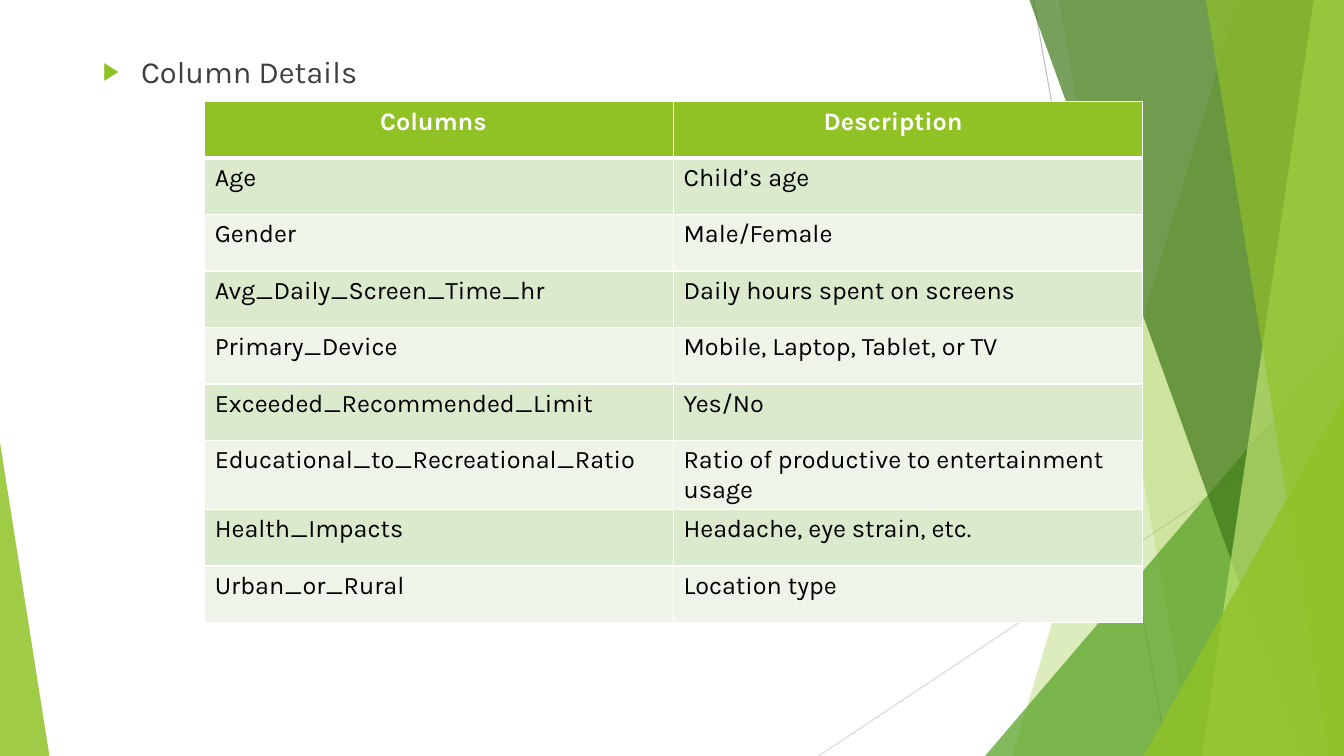
from pptx import Presentation
from pptx.dml.color import RGBColor
from pptx.enum.shapes import MSO_CONNECTOR, MSO_SHAPE
from pptx.enum.text import MSO_ANCHOR, MSO_AUTO_SIZE, PP_ALIGN
from pptx.oxml.ns import qn
from pptx.util import Inches, Pt
from lxml import etree

STRAIGHT = MSO_CONNECTOR.STRAIGHT
TRIANGLE = MSO_SHAPE.ISOSCELES_TRIANGLE
TOP = MSO_ANCHOR.TOP
LEFT = PP_ALIGN.LEFT
NO_AUTOFIT = MSO_AUTO_SIZE.NONE

FONT = "Karla"
WIDTH, HEIGHT = 13.33, 7.5
GREEN, WHITE = "90C226", "FFFFFF"
BANDS = ("DBE9CD", "EEF4E8")

HEADINGS = ("Columns", "Description")
HEADING_MARGINS = (1.74, 1.49)
DETAILS = (
    ("Age", "Child’s age"),
    ("Gender", "Male/Female"),
    ("Avg_Daily_Screen_Time_hr", "Daily hours spent on screens"),
    ("Primary_Device", "Mobile, Laptop, Tablet, or TV"),
    ("Exceeded_Recommended_Limit", "Yes/No"),
    ("Educational_to_Recreational_Ratio",
     "Ratio of productive to entertainment usage"),
    ("Health_Impacts", "Headache, eye strain, etc."),
    ("Urban_or_Rural", "Location type"),
)


def rgb(color):
    return RGBColor.from_string(color)


def add_child(parent, tag, **attributes):
    return etree.SubElement(parent, qn(tag), attributes)


def write_text(para, text, size=18, color="000000", bold=False):
    para.alignment = LEFT
    para.space_before = Pt(0)
    span = para.add_run()
    span.text = text
    span.font.name = FONT
    span.font.size = Pt(size)
    span.font.bold = bold
    span.font.color.rgb = rgb(color)


def paint(shape, color, opacity):
    shape.shadow.inherit = False
    shape.line.fill.background()
    shape.fill.solid()
    shape.fill.fore_color.rgb = rgb(color)
    color_node = shape._element.spPr.find(qn("a:solidFill"))[0]
    add_child(color_node, "a:alpha", val=str(opacity * 1000))


def add_ray(slide, start, end, color):
    points = [Inches(value) for value in start + end]
    ray = slide.shapes.add_connector(STRAIGHT, *points)
    ray.line.color.rgb = rgb(color)
    ray.line.width = Pt(0.75)
    add_child(ray._element.spPr, "a:effectLst")


def add_shard(slide, top_x, bottom_x, color, opacity):
    """Fill from a slanted edge to the right side of the slide."""
    corners = [(top_x, 0), (WIDTH, 0), (WIDTH, HEIGHT), (bottom_x, HEIGHT)]
    points = [(Inches(x), Inches(y)) for x, y in corners]
    builder = slide.shapes.build_freeform(*points[0])
    builder.add_line_segments(points[1:], close=True)
    paint(builder.convert_to_shape(), color, opacity)


def add_corner(slide, left, top, width, peak, color, opacity):
    """Stand a right triangle on the bottom edge of the slide."""
    corner = slide.shapes.add_shape(
        TRIANGLE, Inches(left), Inches(top), Inches(width),
        Inches(HEIGHT - top))
    corner.adjustments[0] = peak
    paint(corner, color, opacity)


def add_decoration(slide):
    add_ray(slide, (10.25, 0), (11.58, HEIGHT), "BFBFBF")
    add_ray(slide, (WIDTH, 4.03), (8.12, HEIGHT), "D9D9D9")
    add_shard(slide, 12.28, 10.04, GREEN, 30)
    add_shard(slide, 10.5, 11.83, GREEN, 20)
    add_corner(slide, 9.77, 3.33, 3.56, 1, "54A021", 72)
    add_shard(slide, 10.21, 12.91, "3F7819", 70)
    add_shard(slide, 13.03, 11.92, "C0E474", 70)
    add_shard(slide, 11.96, 13.18, GREEN, 65)
    add_corner(slide, 11.34, 3.93, 1.99, 1, GREEN, 80)
    add_corner(slide, 0, 4.39, 0.49, 0, GREEN, 85)


def fill_body(slide, text):
    body = slide.placeholders[1]
    # Bring the list in front of the decoration
    slide.shapes._spTree.append(body._element)
    body.left, body.top = Inches(0.92), Inches(0.47)
    body.width, body.height = Inches(11.5), Inches(6.28)
    frame = body.text_frame
    frame.auto_size = NO_AUTOFIT
    frame.vertical_anchor = TOP
    para = frame.paragraphs[0]
    properties = para._p.get_or_add_pPr()
    properties.set("marL", str(Inches(0.38)))
    properties.set("indent", str(Inches(-0.38)))
    bullet_color = add_child(properties, "a:buClr")
    add_child(bullet_color, "a:srgbClr", val=GREEN)
    add_child(properties, "a:buSzPct", val="80000")
    add_child(properties, "a:buChar", char="▶")
    write_text(para, text, size=22, color="404040")


def add_borders(cell, **widths):
    properties = cell._tc.get_or_add_tcPr()
    for side in "LRTB":
        width = Pt(widths.get(side, 1))
        border = add_child(properties, f"a:ln{side}", w=str(width))
        fill = add_child(border, "a:solidFill")
        add_child(fill, "a:srgbClr", val=WHITE)


def format_cell(cell, text, fill, borders, **text_format):
    add_borders(cell, **borders)
    cell.fill.solid()
    cell.fill.fore_color.rgb = rgb(fill)
    write_text(cell.text_frame.paragraphs[0], text, **text_format)


def add_details_table(slide):
    row_count = len(DETAILS) + 1
    table = slide.shapes.add_table(
        row_count, len(HEADINGS), Inches(2.03), Inches(1.01),
        Inches(9.3), Inches(0.56 * row_count)).table

    # Heading row
    for column, heading in enumerate(HEADINGS):
        cell = table.cell(0, column)
        format_cell(cell, heading, GREEN, {"B": 3}, color=WHITE, bold=True)
        cell.margin_left = Inches(HEADING_MARGINS[column])

    # Banded rows
    for row, details in enumerate(DETAILS, start=1):
        borders = {"T": 3} if row == 1 else {}
        for column, text in enumerate(details):
            format_cell(table.cell(row, column), text,
                        BANDS[(row - 1) % 2], borders)


def main():
    deck = Presentation()
    deck.slide_width, deck.slide_height = Inches(WIDTH), Inches(HEIGHT)
    slide = deck.slides.add_slide(deck.slide_layouts[1])
    title = slide.shapes.title
    title._element.getparent().remove(title._element)
    slide.background.fill.solid()
    slide.background.fill.fore_color.rgb = rgb(WHITE)

    add_decoration(slide)
    fill_body(slide, "Column Details")
    add_details_table(slide)
    deck.save("out.pptx")


if __name__ == "__main__":
    main()
